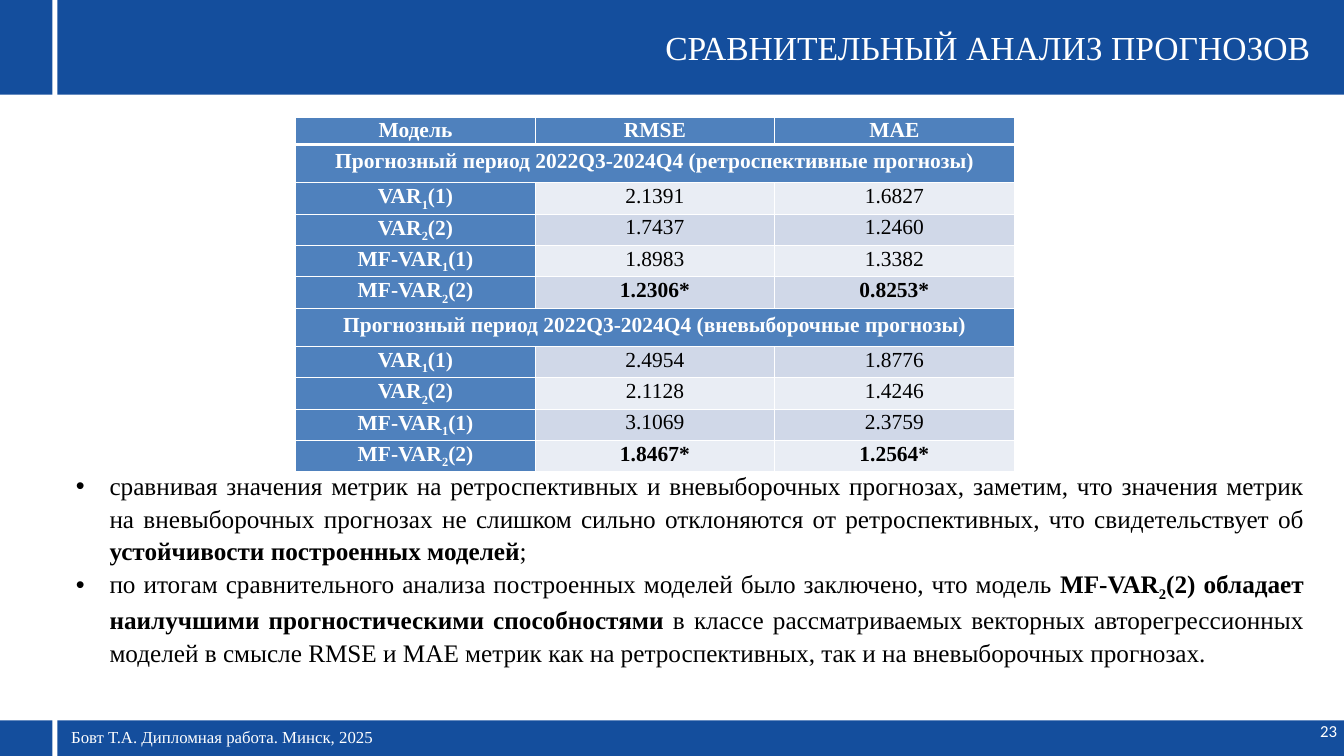
from lxml.etree import SubElement
from pptx import Presentation
from pptx.dml.color import RGBColor
from pptx.enum.shapes import MSO_SHAPE as Shape
from pptx.enum.text import MSO_AUTO_SIZE as AutoSize, PP_ALIGN as Align
from pptx.oxml.ns import qn
from pptx.util import Cm, Pt

SERIF = "Times New Roman"
BLUE, WHITE, BLACK = "144E9D", "FFFFFF", "000000"
TABLE_BLUE, LIGHT_BAND, DARK_BAND = "4F81BD", "E9EDF4", "D0D8E8"

HEADINGS = ["Модель", "RMSE", "MAE"]
MODELS = [("VAR", "1", "(1)"), ("VAR", "2", "(2)"),
          ("MF-VAR", "1", "(1)"), ("MF-VAR", "2", "(2)")]
PERIODS = [
    ("Прогнозный период 2022Q3-2024Q4 (ретроспективные прогнозы)",
     [("2.1391", "1.6827"), ("1.7437", "1.2460"),
      ("1.8983", "1.3382"), ("1.2306*", "0.8253*")]),
    ("Прогнозный период 2022Q3-2024Q4 (вневыборочные прогнозы)",
     [("2.4954", "1.8776"), ("2.1128", "1.4246"),
      ("3.1069", "2.3759"), ("1.8467*", "1.2564*")]),
]

# Each span is (text, bold, subscript).
CONCLUSIONS = [
    [("сравнивая значения метрик на ретроспективных и вневыборочных прогнозах, "
      "заметим, что значения метрик на вневыборочных прогнозах не слишком сильно "
      "отклоняются от ретроспективных, что свидетельствует об ", False, False),
     ("устойчивости построенных моделей", True, False),
     (";", False, False)],
    [("по итогам сравнительного анализа построенных моделей было заключено, "
      "что модель ", False, False),
     ("MF-VAR", True, False),
     ("2", True, True),
     ("(2) обладает наилучшими прогностическими способностями ", True, False),
     ("в классе рассматриваемых векторных авторегрессионных моделей в смысле "
      "RMSE и MAE метрик как на ретроспективных, так и на вневыборочных "
      "прогнозах.", False, False)],
]


def color(value):
    return RGBColor.from_string(value)


def add_bar(page, left, top, width, height, fill):
    bar = page.shapes.add_shape(Shape.RECTANGLE, Cm(left), Cm(top), Cm(width), Cm(height))
    bar.shadow.inherit = False
    bar.fill.solid()
    bar.fill.fore_color.rgb = color(fill)
    bar.line.fill.background()


def add_box(page, left, top, width, height, inset=True):
    box = page.shapes.add_textbox(Cm(left), Cm(top), Cm(width), Cm(height))
    frame = box.text_frame
    frame.word_wrap = True
    frame.auto_size = AutoSize.SHAPE_TO_FIT_TEXT
    if not inset:
        frame.margin_left = frame.margin_right = 0
        frame.margin_top = frame.margin_bottom = 0
    return frame


def write_spans(para, spans, size, ink, align, spacing=None, font=SERIF):
    para.alignment = align
    para.line_spacing = spacing
    for text, bold, subscript in spans:
        span = para.add_run()
        span.text = text
        span.font.name = font
        span.font.size = Pt(size)
        span.font.bold = bold
        span.font.color.rgb = color(ink)
        if subscript:
            span.font._element.set("baseline", "-25000")


def add_bullet(para):
    properties = para._p.get_or_add_pPr()
    properties.set("marL", str(Cm(2.11)))
    properties.set("indent", str(Cm(-1.27)))
    SubElement(properties, qn("a:buFont"), typeface="Arial")
    SubElement(properties, qn("a:buChar"), char="•")


def set_borders(cell, top=1, bottom=1):
    properties = cell._tc.get_or_add_tcPr()
    for side, width in (("L", 1), ("R", 1), ("T", top), ("B", bottom)):
        line = SubElement(properties, qn(f"a:ln{side}"), w=str(Pt(width)))
        fill = SubElement(line, qn("a:solidFill"))
        SubElement(fill, qn("a:srgbClr"), val=WHITE)


def fill_cell(cell, spans, fill, ink=WHITE, padding=(0.33, 0)):
    cell.margin_left = cell.margin_right = Cm(padding[0])
    cell.margin_top = cell.margin_bottom = Cm(padding[1])
    cell.fill.solid()
    cell.fill.fore_color.rgb = color(fill)
    write_spans(cell.text_frame.paragraphs[0], spans, 23, ink, Align.CENTER, 1.07)


def add_metrics_table(page):
    row_count = 1 + len(PERIODS) * (1 + len(MODELS))
    table = page.shapes.add_table(row_count, len(HEADINGS), Cm(11.18), Cm(4.42),
                                  Cm(27.15), Cm(12.3)).table
    for column in table.columns:
        column.width = Cm(9.05)
    for index, row in enumerate(table.rows):
        row.height = Cm(1.04)
        for cell in row.cells:
            set_borders(cell, top=3 if index == 1 else 1, bottom=3 if index == 0 else 1)

    for column, heading in enumerate(HEADINGS):
        fill_cell(table.cell(0, column), [(heading, True, False)], TABLE_BLUE)
    row = 1
    for period, results in PERIODS:
        table.rows[row].height = Cm(1.45)
        table.cell(row, 0).merge(table.cell(row, len(HEADINGS) - 1))
        fill_cell(table.cell(row, 0), [(period, True, False)], TABLE_BLUE,
                  padding=(0.23, 0.13))
        for row, (model, values) in enumerate(zip(MODELS, results), row + 1):
            name, order, lag = model
            fill_cell(table.cell(row, 0),
                      [(name, True, False), (order, True, True), (lag, True, False)],
                      TABLE_BLUE)
            band = DARK_BAND if row % 2 else LIGHT_BAND
            for column, value in enumerate(values, 1):
                best = value.endswith("*")
                fill_cell(table.cell(row, column), [(value, best, False)], band, BLACK)
        row += 1


def add_conclusions(page):
    frame = add_box(page, 1.78, 17.58, 47.75, 8.81)
    for index, spans in enumerate(CONCLUSIONS):
        para = frame.add_paragraph() if index else frame.paragraphs[0]
        write_spans(para, spans, 27, BLACK, Align.JUSTIFY, 1.07)
        para.space_after = Pt(0.2)
        add_bullet(para)


def add_frame_texts(page):
    """Title, page number and footer."""
    title = add_box(page, 21.46, 1.02, 28.07, 1.55, inset=False)
    write_spans(title.paragraphs[0], [("СРАВНИТЕЛЬНЫЙ АНАЛИЗ ПРОГНОЗОВ", False, False)],
                36, WHITE, Align.RIGHT)
    number = add_box(page, 39.62, 27.23, 10.92, 0.76, inset=False)
    write_spans(number.paragraphs[0], [("23", False, False)],
                18, WHITE, Align.RIGHT, Pt(21.6), "Calibri")
    footer = add_box(page, 2.44, 27.33, 25.48, 0.99)
    write_spans(footer.paragraphs[0],
                [("Бовт Т.А. Дипломная работа. Минск, 2025", False, False)],
                18, WHITE, Align.LEFT, Pt(21.6))


def main():
    deck = Presentation()
    deck.slide_width, deck.slide_height = Cm(50.8), Cm(28.58)
    page = deck.slides.add_slide(deck.slide_layouts[6])
    add_bar(page, 0, 0, 50.8, 3.58, BLUE)
    add_bar(page, 0, 27.23, 50.8, 1.37, BLUE)
    add_bar(page, 1.98, 0, 0.19, 28.58, WHITE)
    add_frame_texts(page)
    add_metrics_table(page)
    add_conclusions(page)
    deck.save("out.pptx")


if __name__ == "__main__":
    main()
